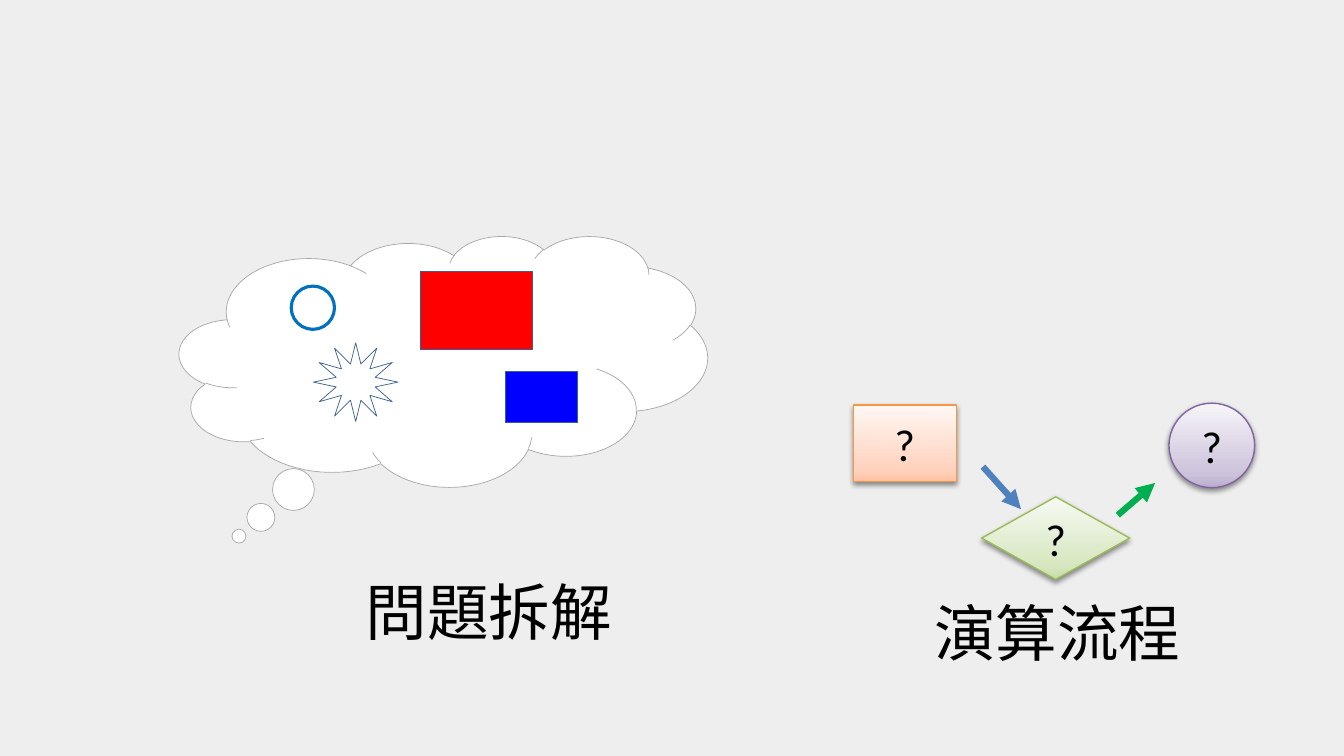
from dataclasses import dataclass
from typing import Optional

from lxml import etree
from pptx import Presentation
from pptx.dml.color import RGBColor as RGB
from pptx.enum.shapes import MSO_CONNECTOR as CONN, MSO_SHAPE as SHAPE
from pptx.enum.text import MSO_ANCHOR as ANCHOR, PP_ALIGN as ALIGN
from pptx.oxml import parse_xml
from pptx.oxml.ns import nsdecls, qn
from pptx.util import Cm, Pt

COLORS = {
    "background": "EEEEEE", "white": "FFFFFF", "black": "000000",
    "cloud_edge": "A6A6A6", "edge": "3A5F8C", "red": "FF0000",
    "blue": "0000FF", "ring": "0070C0", "arrow_blue": "4F81BD",
    "arrow_green": "00B050", "orange": "F79646", "green": "9BBB59",
    "purple": "8064A2",
}


@dataclass
class Figure:
    kind: SHAPE
    box: tuple[float, float, float, float]
    fill: str
    line: str
    weight: float = 0.5
    adjust: tuple[float, ...] = ()


@dataclass
class Step:
    kind: SHAPE
    box: tuple[float, float, float, float]
    stops: tuple[str, str, str]
    line: str


@dataclass
class Arrow:
    ends: tuple[float, float, float, float]
    color: str


@dataclass
class Caption:
    box: tuple[float, float, float, float]
    text: str


CLOUD = Figure(SHAPE.CLOUD_CALLOUT, (4.52, 5.94, 13.31, 6.32), "white",
               "cloud_edge", adjust=(-0.387, 0.698))
STEPS = [
    Step(SHAPE.RECTANGLE, (21.51, 10.21, 2.59, 1.93),
         ("FFC2A3", "FFD2BD", "FFF7F3"), "orange"),
    Step(SHAPE.DIAMOND, (24.74, 12.52, 3.73, 2.08),
         ("C7DDA6", "D6E6BE", "F7FAF4"), "green"),
    Step(SHAPE.OVAL, (29.46, 10.16, 2.16, 2.13),
         ("B9ACCD", "CCC2DB", "F6F4F8"), "purple"),
]
ARROWS = [
    Arrow((24.77, 11.76, 25.73, 12.83), "arrow_blue"),
    Arrow((28.17, 12.98, 29.11, 12.17), "arrow_green"),
]
PIECES = [
    Figure(SHAPE.RECTANGLE, (10.59, 6.83, 2.82, 1.98), "red", "edge"),
    Figure(SHAPE.RECTANGLE, (12.73, 9.35, 1.83, 1.3), "blue", "edge"),
    Figure(SHAPE.STAR_12_POINT, (7.9, 8.64, 2.13, 1.98), "white", "edge",
           adjust=(0.238,)),
    Figure(SHAPE.OVAL, (7.34, 7.21, 1.09, 1.09), "white", "ring", 2.25),
]
CAPTIONS = [
    Caption((8.97, 14.35, 6.78, 2.13), "問題拆解"),
    Caption((23.29, 14.86, 6.78, 2.13), "演算流程"),
]


def color(name: str) -> RGB:
    """Return the palette colour with this name."""
    return RGB.from_string(COLORS[name])


def add_run(p, text: str, size: float, font: str, east: Optional[str] = None) -> None:
    """Append a black run to a paragraph."""
    r = p.add_run()
    r.text = text
    r.font.size = Pt(size)
    r.font.name = font
    r.font.color.rgb = color("black")
    if east:
        etree.SubElement(r.font._element, qn("a:ea"), typeface=east)


def add_outlined(slide, item: Figure | Step, weight: float):
    """Add a preset shape with its outline and no inherited shadow."""
    sp = slide.shapes.add_shape(item.kind, *map(Cm, item.box))
    sp.shadow.inherit = False
    sp.line.color.rgb = color(item.line)
    sp.line.width = Pt(weight)
    return sp


def draw_figure(slide, figure: Figure) -> None:
    """Draw a plain filled shape."""
    sp = add_outlined(slide, figure, figure.weight)
    sp.fill.solid()
    sp.fill.fore_color.rgb = color(figure.fill)
    for i, value in enumerate(figure.adjust):
        sp.adjustments[i] = value


def draw_step(slide, step: Step) -> None:
    """Draw a shaded flowchart step holding a question mark."""
    sp = add_outlined(slide, step, 1)
    stops = "".join(
        f'<a:gs pos="{pos}"><a:srgbClr val="{value}"/></a:gs>'
        for pos, value in zip((0, 15000, 100000), step.stops))
    sp.line._ln.addprevious(parse_xml(
        f'<a:gradFill {nsdecls("a")} rotWithShape="1"><a:gsLst>{stops}</a:gsLst>'
        '<a:lin ang="16200000" scaled="0"/></a:gradFill>'))
    sp._element.spPr.find(qn("a:effectLst")).append(parse_xml(
        f'<a:outerShdw {nsdecls("a")} blurRad="{Pt(4)}" dist="{Pt(2)}" '
        f'dir="5400000" rotWithShape="0"><a:srgbClr val="{COLORS["black"]}">'
        '<a:alpha val="43000"/></a:srgbClr></a:outerShdw>'))
    tf = sp.text_frame
    tf.vertical_anchor = ANCHOR.MIDDLE
    p = tf.paragraphs[0]
    p.alignment = ALIGN.CENTER
    add_run(p, "?", 32, "Calibri")


def draw_arrow(slide, arrow: Arrow) -> None:
    """Draw a thick arrow between two steps."""
    line = slide.shapes.add_connector(CONN.STRAIGHT, *map(Cm, arrow.ends))
    line.line.color.rgb = color(arrow.color)
    line.line.width = Pt(4.5)
    etree.SubElement(line.line._ln, qn("a:tailEnd"), type="triangle")
    etree.SubElement(line._element.spPr, qn("a:effectLst"))


def draw_caption(slide, caption: Caption) -> None:
    """Draw a large caption."""
    tf = slide.shapes.add_textbox(*map(Cm, caption.box)).text_frame
    tf.word_wrap = False
    add_run(tf.paragraphs[0], caption.text, 44, "Noto Sans CJK SC", "Noto Sans CJK SC")


def main() -> None:
    """Build the slide and save it."""
    prs = Presentation()
    prs.slide_width, prs.slide_height = Cm(33.87), Cm(19.05)
    slide = prs.slides.add_slide(prs.slide_layouts[6])
    slide.background.fill.solid()
    slide.background.fill.fore_color.rgb = color("background")
    draw_figure(slide, CLOUD)
    for step in STEPS:
        draw_step(slide, step)
    for arrow in ARROWS:
        draw_arrow(slide, arrow)
    for piece in PIECES:
        draw_figure(slide, piece)
    for caption in CAPTIONS:
        draw_caption(slide, caption)
    prs.save("out.pptx")


if __name__ == "__main__":
    main()
